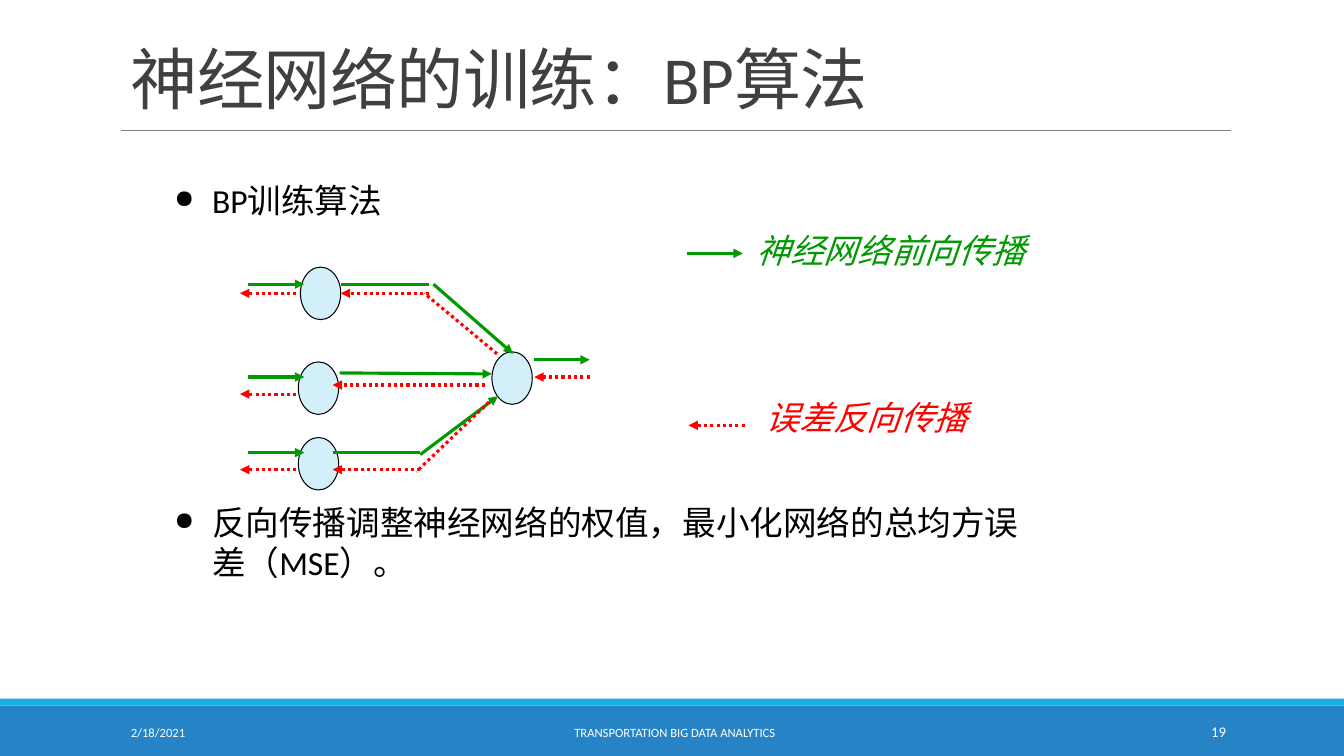
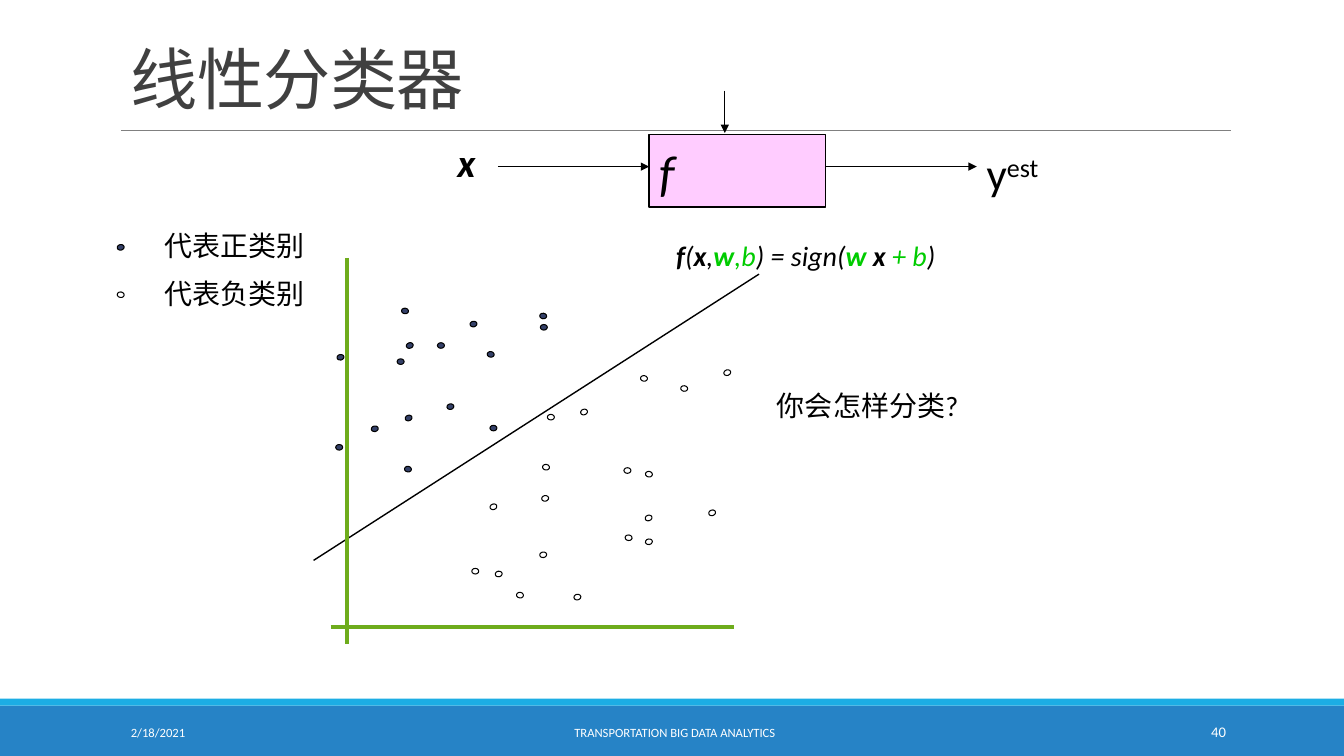
from dataclasses import dataclass
from typing import NamedTuple, Optional

from lxml import etree
from pptx import Presentation
from pptx import util as u
from pptx.dml import color
from pptx.enum import dml, shapes, text
from pptx.oxml import ns
from pptx.shapes import autoshape
from pptx.slide import Slide


@dataclass(frozen=True)
class Theme:
    font: str = "Calibri"
    ink: str = "000000"
    white: str = "FFFFFF"
    title: str = "404040"
    rule: str = "808080"
    band: str = "2683C6"
    stripe: str = "1CADE4"
    neuron: str = "D2EFFA"
    forward: str = "009900"
    backward: str = "FF0000"
    function_box: str = "FFCCFF"
    positive: str = "344068"
    axis: str = "6EAC1C"
    weight: str = "00CC00"
    title_size: float = 48
    function_size: float = 36
    output_size: float = 32
    input_size: float = 28
    body_size: float = 24
    label_size: float = 20
    number_size: float = 10.5
    footer_size: float = 9


THEME = Theme()


class Box(NamedTuple):
    left: float
    top: float
    width: float
    height: float


class Span(NamedTuple):
    """A stretch of text; unset fields follow the text around it."""
    text: str
    color: Optional[str] = None
    bold: bool = False
    italic: bool = False
    raised: bool = False


class Line(NamedTuple):
    x1: float
    y1: float
    x2: float
    y2: float
    arrow: bool = True


class DotGroup(NamedTuple):
    """Dots of one tilt, given by their left top corners."""
    rotation: float
    width: float
    height: float
    positive: list[tuple[float, float]]
    negative: list[tuple[float, float]]


INPUT_ROWS = ((203, 209.5), (269.3, 281.5), (323.3, 335.5))
FORWARD_LINES = [Line(177, forward, 217.4, forward) for forward, _ in INPUT_ROWS] + [
    Line(243.4, 203, 306.7, 203, False),
    Line(309.6, 203, 366.5, 252.7),
    Line(242.6, 266.4, 351.4, 267.1),
    Line(237.6, 323.3, 300.2, 323.3, False),
    Line(300.2, 324.7, 355.7, 283),
    Line(381.6, 257, 421.2, 257),
    Line(491, 181, 530.6, 181),
]
BACKWARD_LINES = [Line(211.7, back, 171.4, back) for _, back in INPUT_ROWS] + [
    Line(355, 252.7, 303.1, 209.5, False),
    Line(306.7, 209.5, 243.4, 209.5),
    Line(346.3, 275, 237.6, 275),
    Line(349.2, 287.3, 297.4, 337, False),
    Line(300.2, 335.5, 237.6, 335.5),
    Line(421.2, 269.3, 381.6, 269.3),
    Line(532, 303.8, 491.8, 303.8),
]
NEURONS = ((214.6, 190.8), (213.1, 258.5), (213.1, 312.5), (351.4, 251.3))

DOT_GROUPS = (
    DotGroup(0, 5, 4,
             [(239.8, 317.5), (386, 231.8), (312.5, 244.8), (350, 303.8), (283.7, 256.3)],
             [(337, 406), (391, 296), (445.7, 334.1)]),
    DotGroup(341.4, 5, 4,
             [(290.2, 244.8), (289.4, 296.6)],
             [(350, 360), (517, 264.2), (460.8, 368), (414.7, 292.3), (506.2, 364.3)]),
    DotGroup(98.3, 4, 5,
             [(348.5, 250.6), (289.4, 332.6), (386, 223.2), (287.3, 219.6)],
             [(84.2, 208), (369.4, 422.6), (461.5, 336.2), (388, 331.2),
              (486.7, 275), (458, 267.8), (447, 381.6)]),
    DotGroup(79.6, 4, 5,
             [(84.2, 174.2), (319.7, 288), (265.7, 303.8), (336.2, 229), (241.2, 252.7)],
             [(410.4, 424), (386, 393.8), (387.4, 353.5), (354.2, 407.5), (461.5, 384.5)]),
)


def rgb(value: str) -> color.RGBColor:
    return color.RGBColor.from_string(value)


def add_element(parent: etree._Element, tag: str, **attributes: str) -> etree._Element:
    return etree.SubElement(parent, ns.qn(tag), attributes)


def write(shape: autoshape.Shape, *paragraphs: str | list[Span], size: float,
          ink: str = THEME.ink, bold: bool = False, italic: bool = False,
          align: text.PP_ALIGN = text.PP_ALIGN.LEFT,
          anchor: text.MSO_ANCHOR = text.MSO_ANCHOR.TOP,
          gap: float = 0, line_spacing: Optional[float] = None,
          tracking: Optional[int] = None, bullet: bool = False) -> None:
    """Fill a shape with paragraphs; gap is the space between them."""
    frame = shape.text_frame
    frame.word_wrap = True
    frame.vertical_anchor = anchor
    for index, content in enumerate(paragraphs):
        paragraph = frame.add_paragraph() if index else frame.paragraphs[0]
        paragraph.alignment = align
        if bullet:
            properties = paragraph._p.get_or_add_pPr()
            properties.set("marL", str(u.Pt(27)))
            properties.set("indent", str(-u.Pt(27)))
            add_element(add_element(properties, "a:buClr"), "a:srgbClr", val=ink)
            add_element(properties, "a:buSzPct", val="75000")
            add_element(properties, "a:buChar", char="●")
        if index and gap:
            paragraph.space_before = u.Pt(gap)
        if line_spacing:
            paragraph.line_spacing = line_spacing
        for span in [Span(content)] if isinstance(content, str) else content:
            run = paragraph.add_run()
            run.text = span.text
            run.font.name = THEME.font
            run.font.size = u.Pt(size)
            run.font.bold = bold or span.bold
            run.font.italic = italic or span.italic
            run.font.color.rgb = rgb(span.color or ink)
            if span.raised:
                run.font._element.set("baseline", "30000")
            if tracking is not None:
                run.font._element.set("spc", str(tracking))


def add_text(slide: Slide, box: Box, *paragraphs: str | list[Span], **style) -> None:
    write(slide.shapes.add_textbox(*map(u.Pt, box)), *paragraphs, **style)


def add_shape(slide: Slide, kind: shapes.MSO_SHAPE, box: Box, fill: str,
              line_width: float = 0, rotation: float = 0) -> autoshape.Shape:
    shape = slide.shapes.add_shape(kind, *map(u.Pt, box))
    shape.shadow.inherit = False
    shape.rotation = rotation
    shape.fill.solid()
    shape.fill.fore_color.rgb = rgb(fill)
    if line_width:
        shape.line.color.rgb = rgb(THEME.ink)
        shape.line.width = u.Pt(line_width)
    else:
        shape.line.fill.background()
    return shape


def add_line(slide: Slide, line: Line, ink: str, width: float, dotted: bool = False) -> None:
    connector = slide.shapes.add_connector(shapes.MSO_CONNECTOR.STRAIGHT, *map(u.Pt, line[:4]))
    connector.line.color.rgb = rgb(ink)
    connector.line.width = u.Pt(width)
    if dotted:
        connector.line.dash_style = dml.MSO_LINE.ROUND_DOT
    if line.arrow:
        add_element(connector.line._get_or_add_ln(), "a:tailEnd", type="triangle")
    add_element(connector._element.spPr, "a:effectLst")


def add_base_slide(presentation: Presentation, title: str, number: int) -> Slide:
    """Add a slide with the shared title, rule, bands and footer."""
    slide = presentation.slides.add_slide(presentation.slide_layouts[6])
    rectangle = shapes.MSO_SHAPE.RECTANGLE
    add_shape(slide, rectangle, Box(0, 504, 960, 36), THEME.band)
    add_shape(slide, rectangle, Box(0, 499, 960, 5), THEME.stripe)
    add_line(slide, Line(86.4, 93, 879, 93, False), THEME.rule, 0.5)
    add_text(slide, Box(86.4, 9.4, 792, 78.5), title, size=THEME.title_size, ink=THEME.title,
             anchor=text.MSO_ANCHOR.BOTTOM, line_spacing=0.85, tracking=-50)
    footers = (
        (86.4, 194.4, "2/18/2021", text.PP_ALIGN.LEFT, THEME.footer_size),
        (292.3, 379.4, "TRANSPORTATION BIG DATA ANALYTICS", text.PP_ALIGN.CENTER,
         THEME.footer_size),
        (779.8, 103, str(number), text.PP_ALIGN.RIGHT, THEME.number_size),
    )
    for left, width, label, align, size in footers:
        add_text(slide, Box(left, 508.5, width, 28.8), label, size=size, ink=THEME.white,
                 align=align, anchor=text.MSO_ANCHOR.MIDDLE)
    return slide


def build_training_slide(presentation: Presentation) -> None:
    slide = add_base_slide(presentation, "神经网络的训练：BP算法", 19)
    add_text(slide, Box(117.4, 125.3, 624.2, 330), "BP训练算法",
             "反向传播调整神经网络的权值，最小化网络的总均方误差（MSE）。",
             size=THEME.body_size, gap=201, bullet=True)
    for left, top in NEURONS:
        add_shape(slide, shapes.MSO_SHAPE.OVAL, Box(left, top, 28.8, 37.5), THEME.neuron, 0.75)
    for line in FORWARD_LINES:
        add_line(slide, line, THEME.forward, 2.25)
    for line in BACKWARD_LINES:
        add_line(slide, line, THEME.backward, 2.25, dotted=True)
    add_text(slide, Box(533.5, 160.6, 211.7, 36), "神经网络前向传播",
             size=THEME.body_size, ink=THEME.forward, italic=True)
    add_text(slide, Box(540, 279.8, 194.4, 36), "误差反向传播",
             size=THEME.body_size, ink=THEME.backward, italic=True)


def build_classifier_slide(presentation: Presentation) -> None:
    slide = add_base_slide(presentation, "线性分类器", 40)
    function_box = add_shape(slide, shapes.MSO_SHAPE.RECTANGLE, Box(463.7, 96.2, 126, 51.8),
                             THEME.function_box, 1)
    write(function_box, "f", size=THEME.function_size, italic=True,
          anchor=text.MSO_ANCHOR.MIDDLE)
    for line in (Line(355.7, 119, 463.7, 119), Line(517.7, 64.8, 517.7, 95),
                 Line(589.7, 119, 697.7, 119), Line(224, 400.3, 542.2, 195.8, False)):
        add_line(slide, line, THEME.ink, 1)
    add_text(slide, Box(319.7, 95, 48.2, 41), "x", size=THEME.input_size,
             bold=True, italic=True)
    add_text(slide, Box(697.7, 100.8, 66.2, 45.4), [Span("y"), Span("est", raised=True)],
             size=THEME.output_size)
    add_text(slide, Box(110.2, 159.8, 149.8, 67), "代表正类别", "代表负类别",
             size=THEME.label_size, gap=10)
    for axis in (Line(247.7, 184.3, 247.7, 460, False), Line(236.2, 447.8, 524.2, 447.8, False)):
        add_line(slide, axis, THEME.axis, 3)
    for group in DOT_GROUPS:
        for fill, corners in ((THEME.positive, group.positive), (THEME.white, group.negative)):
            for left, top in corners:
                add_shape(slide, shapes.MSO_SHAPE.OVAL,
                          Box(left, top, group.width, group.height), fill, 0.75, group.rotation)
    formula = [
        Span("f", bold=True), Span("("), Span("x", bold=True), Span(","),
        Span("w", THEME.weight, bold=True), Span(",b", THEME.weight), Span(") = sign("),
        Span("w", THEME.weight, bold=True), Span(" x", bold=True),
        Span(" + b", THEME.weight), Span(")"),
    ]
    add_text(slide, Box(475.9, 167, 252, 31), formula, size=THEME.label_size, italic=True)
    add_text(slide, Box(547.9, 274.3, 329, 31.7), "你会怎样分类?", size=THEME.label_size)


def main() -> None:
    presentation = Presentation()
    presentation.slide_width = u.Pt(960)
    presentation.slide_height = u.Pt(540)
    build_training_slide(presentation)
    build_classifier_slide(presentation)
    presentation.save("out.pptx")


if __name__ == "__main__":
    main()
